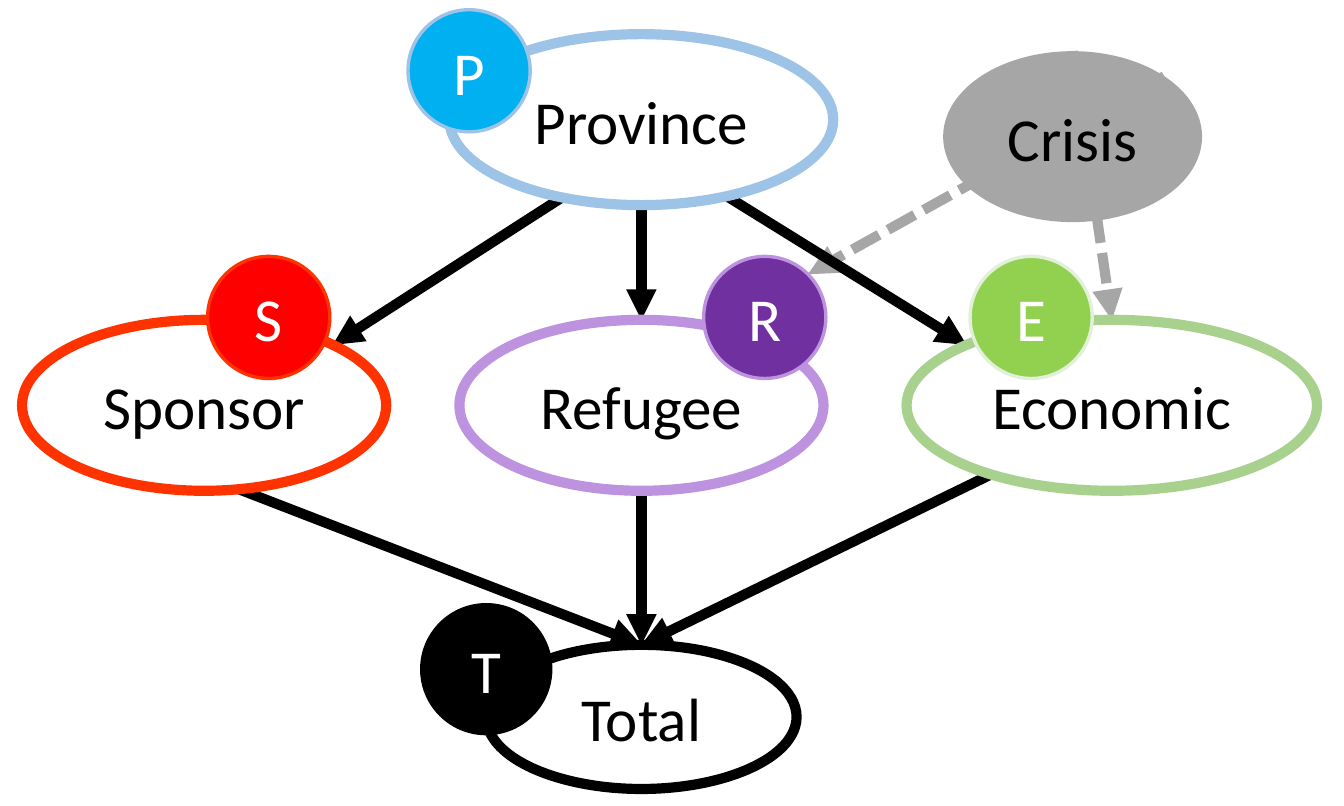
import math
from lxml import etree
from pptx import Presentation, util as u
from pptx.dml.color import RGBColor
from pptx.enum import dml, shapes, text
from pptx.oxml.ns import qn

PX = 9144  # 100 px to the inch
BADGE = 50
BLACK, WHITE, GREY = "000000", "FFFFFF", "A6A6A6"

# name: box, fill, outline
NODES = {
    "Refugee": ((188, 131, 149, 70), WHITE, "BD92DE"),
    "Economic": ((371, 131, 168, 70), WHITE, "A9D18E"),
    "Sponsor": ((9, 131, 149, 70), WHITE, "FF3300"),
    "Province": ((184, 14, 157, 70), WHITE, "9DC3E6"),
    "Total": ((199, 264, 127, 59), WHITE, BLACK),
    "Crisis": ((386, 21, 106, 70), GREY, None),
}
# node: letter, offset from the node's corner, fill, outline, outline width
BADGES = {
    "Sponsor": ("S", (76, -26), "FF0000", "FF3300", 1),
    "Refugee": ("R", (100, -26), "7030A0", "BD92DE", 1),
    "Province": ("P", (-17, -10), "00B0F0", "9DC3E6", 1),
    "Economic": ("E", (26, -26), "92D050", "E2F0D9", 1),
    "Total": ("T", (-25, -15), BLACK, BLACK, 3),
}
# Angles of the points on an ellipse where arrows attach
TOP, RIGHT_TOP, LEFT_TOP, LEFT = 90, 45, 135, 180


def px(n):
    return u.Emu(round(n * PX))


def rgb(color):
    return RGBColor.from_string(color)


def badge_box(name):
    left, top = NODES[name][0][:2]
    dx, dy = BADGES[name][1]
    return left + dx, top + dy, BADGE, BADGE


def rim(box, angle):
    left, top, width, height = box
    a = math.radians(angle)
    return (left + width / 2 * (1 + math.cos(a)),
            top + height / 2 * (1 - math.sin(a)))


def add_arrow(s, start, end, color=BLACK, dashed=False):
    c = s.shapes.add_connector(shapes.MSO_CONNECTOR.STRAIGHT,
                               *map(px, start + end))
    c.line.color.rgb = rgb(color)
    c.line.width = u.Pt(3)
    if dashed:
        c.line.dash_style = dml.MSO_LINE.SQUARE_DOT  # sysDash
    etree.SubElement(c.line._get_or_add_ln(), qn("a:tailEnd"), type="triangle")
    etree.SubElement(c._element.spPr, qn("a:effectLst"))


def add_ellipse(s, box, label, fill, outline, width, color):
    sp = s.shapes.add_shape(shapes.MSO_SHAPE.OVAL, *map(px, box))
    sp.shadow.inherit = False
    sp.fill.solid()
    sp.fill.fore_color.rgb = rgb(fill)
    if outline:
        sp.line.color.rgb = rgb(outline)
        sp.line.width = u.Pt(width)
    else:
        sp.line.fill.background()
    tf = sp.text_frame
    tf.text = label
    tf.word_wrap = False
    tf.vertical_anchor = text.MSO_ANCHOR.MIDDLE
    tf.margin_left = tf.margin_right = tf.margin_top = tf.margin_bottom = 0
    p = tf.paragraphs[0]
    p.alignment = text.PP_ALIGN.CENTER
    r = p.runs[0]
    r.font.name = "Calibri"
    r.font.size = u.Pt(18)
    r.font.color.rgb = rgb(color)


def add_arrows(s):
    box = {name: node[0] for name, node in NODES.items()}
    # Influence of the crisis
    add_arrow(s, rim(box["Crisis"], TOP), rim(box["Economic"], TOP), GREY, True)
    add_arrow(s, rim(box["Crisis"], RIGHT_TOP),
              rim(badge_box("Refugee"), RIGHT_TOP), GREY, True)
    # Flow from province through the classes to the total
    for source, out, target, into in (
            ("Province", RIGHT_TOP, "Sponsor", RIGHT_TOP),
            ("Province", LEFT_TOP, "Economic", LEFT_TOP),
            ("Refugee", TOP, "Total", TOP),
            ("Province", TOP, "Refugee", TOP),
            ("Sponsor", LEFT, "Total", TOP),
            ("Economic", RIGHT_TOP, "Total", TOP)):
        add_arrow(s, rim(box[source], out), rim(box[target], into))


def add_node(s, name):
    box, fill, outline = NODES[name]
    add_ellipse(s, box, name, fill, outline, 3, BLACK)
    if name in BADGES:
        letter, _, fill, outline, width = BADGES[name]
        add_ellipse(s, badge_box(name), letter, fill, outline, width, WHITE)


def main():
    prs = Presentation()
    prs.slide_width, prs.slide_height = px(550), px(330)
    s = prs.slides.add_slide(prs.slide_layouts[6])
    # Arrows lie behind the nodes
    add_arrows(s)
    for name in NODES:
        add_node(s, name)
    prs.save("out.pptx")


if __name__ == "__main__":
    main()
